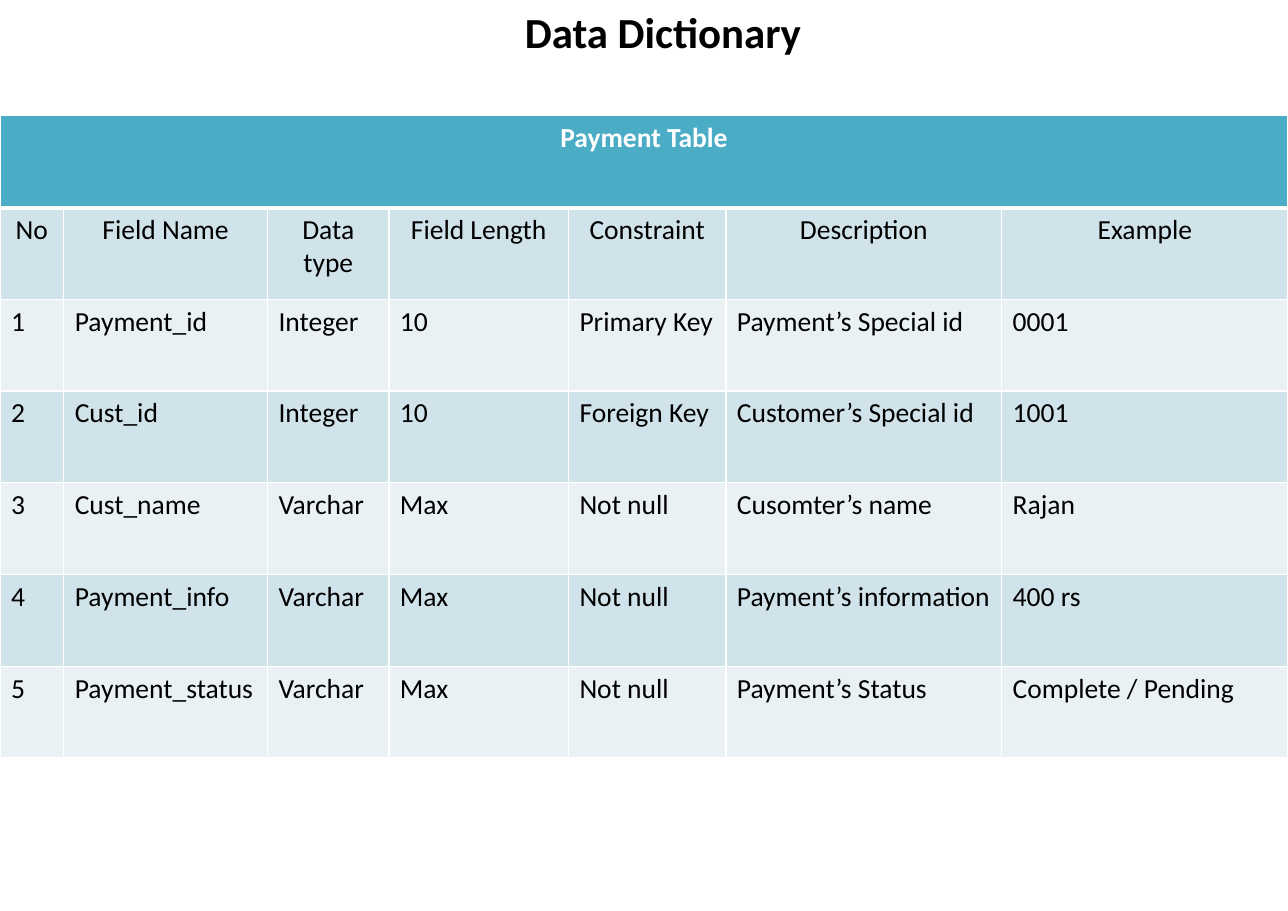
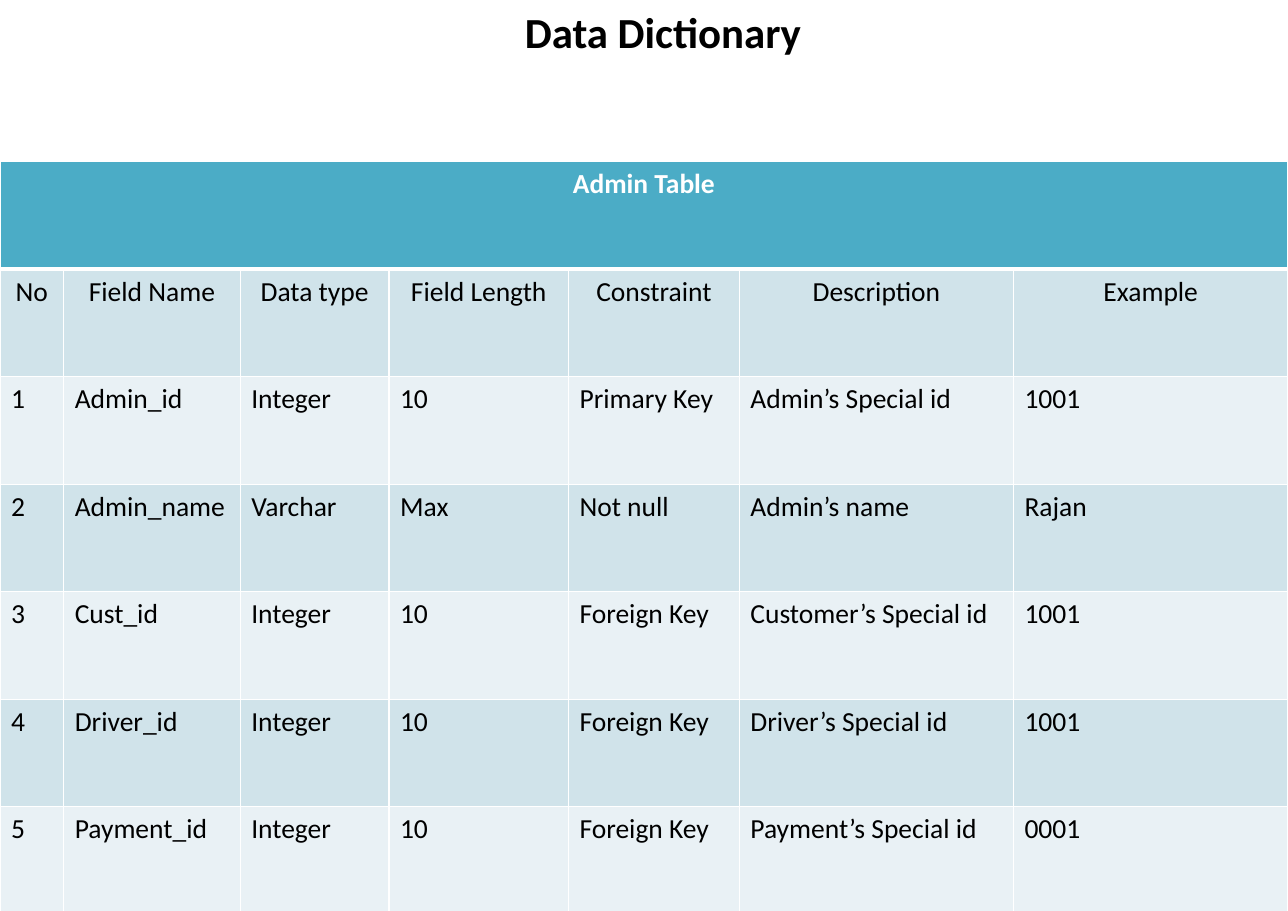
from dataclasses import dataclass

from lxml import etree
from pptx import Presentation
from pptx.dml.color import RGBColor
from pptx.enum.text import MSO_AUTO_SIZE, PP_ALIGN
from pptx.oxml.ns import qn
from pptx.util import Cm, Pt

LEFT = PP_ALIGN.LEFT
CENTER = PP_ALIGN.CENTER
FIT_SHAPE = MSO_AUTO_SIZE.SHAPE_TO_FIT_TEXT
BLANK_LAYOUT = 6


@dataclass(frozen=True)
class Theme:
    font: str = "Calibri"
    title_size: int = 28
    table_size: int = 18
    text: str = "000000"
    white: str = "FFFFFF"
    heading: str = "4BACC6"
    dark_band: str = "D0E3EA"
    light_band: str = "E9F1F5"
    border: float = 1
    heading_border: float = 3


@dataclass(frozen=True)
class Box:
    left: float
    top: float
    width: float
    height: float

    def lengths(self):
        return Cm(self.left), Cm(self.top), Cm(self.width), Cm(self.height)


THEME = Theme()
SLIDE_WIDTH, SLIDE_HEIGHT = 29.7, 21
TITLE = "Data Dictionary"
TITLE_BOX = Box(11.68, 0, 7.21, 1.45)
HEADERS = ("No", "Field Name", "Data type", "Field Length", "Constraint", "Description", "Example")

TABLES = (
    {
        "name": "Payment Table",
        "box": Box(0, 2.67, SLIDE_WIDTH, 14.81),
        "widths": (1.47, 4.7, 2.8, 4.14, 3.63, 6.36),
        "fields": (
            ("Payment_id", "Integer", "10", "Primary Key", "Payment’s Special id", "0001"),
            ("Cust_id", "Integer", "10", "Foreign Key", "Customer’s Special id", "1001"),
            ("Cust_name", "Varchar", "Max", "Not null", "Cusomter’s name", "Rajan"),
            ("Payment_info", "Varchar", "Max", "Not null", "Payment’s information", "400 rs"),
            ("Payment_status", "Varchar", "Max", "Not null", "Payment’s Status", "Complete / Pending"),
        ),
    },
    {
        "name": "Admin Table",
        "box": Box(0, 3.73, SLIDE_WIDTH, 17.35),
        "widths": (1.47, 4.07, 3.43, 4.14, 3.94, 6.32),
        "fields": (
            ("Admin_id", "Integer", "10", "Primary Key", "Admin’s Special id", "1001"),
            ("Admin_name", "Varchar", "Max", "Not null", "Admin’s name", "Rajan"),
            ("Cust_id", "Integer", "10", "Foreign Key", "Customer’s Special id", "1001"),
            ("Driver_id", "Integer", "10", "Foreign Key", "Driver’s Special id", "1001"),
            ("Payment_id", "Integer", "10", "Foreign Key", "Payment’s Special id", "0001"),
        ),
    },
)


def write_text(frame, text, size, color, bold, alignment):
    paragraph = frame.paragraphs[0]
    paragraph.alignment = alignment
    run = paragraph.add_run()
    run.text = text
    run.font.name = THEME.font
    run.font.size = Pt(size)
    run.font.bold = bold
    run.font.color.rgb = RGBColor.from_string(color)


def set_borders(cell, top, bottom):
    properties = cell._tc.get_or_add_tcPr()
    widths = {"lnL": THEME.border, "lnR": THEME.border, "lnT": top, "lnB": bottom}
    for side, width in widths.items():
        line = etree.SubElement(properties, qn(f"a:{side}"), w=str(Pt(width)))
        fill = etree.SubElement(line, qn("a:solidFill"))
        etree.SubElement(fill, qn("a:srgbClr"), val=THEME.white)


def style_cell(cell, row_index):
    top = THEME.heading_border if row_index == 1 else THEME.border
    bottom = THEME.heading_border if row_index == 0 else THEME.border
    set_borders(cell, top, bottom)
    band = THEME.dark_band if row_index % 2 else THEME.light_band
    cell.fill.solid()
    cell.fill.fore_color.rgb = RGBColor.from_string(band if row_index else THEME.heading)


def add_title(slide, box):
    shape = slide.shapes.add_textbox(*box.lengths())
    frame = shape.text_frame
    frame.word_wrap = True
    frame.auto_size = FIT_SHAPE
    write_text(frame, TITLE, THEME.title_size, THEME.text, True, CENTER)


def add_field_table(slide, box, name, widths, fields):
    rows = [HEADERS] + [(str(number), *field) for number, field in enumerate(fields, 1)]
    row_count = len(rows) + 1
    table = slide.shapes.add_table(row_count, len(HEADERS), *box.lengths()).table
    for column, width in zip(table.columns, (*widths, box.width - sum(widths))):
        column.width = Cm(width)
    for row_index, row in enumerate(table.rows):
        row.height = Cm(box.height / row_count)
        for cell in row.cells:
            style_cell(cell, row_index)

    heading = table.cell(0, 0)
    heading.merge(table.cell(0, len(HEADERS) - 1))
    write_text(heading.text_frame, name, THEME.table_size, THEME.white, True, CENTER)
    for row_index, values in enumerate(rows, 1):
        alignment = CENTER if row_index == 1 else LEFT
        for column_index, value in enumerate(values):
            frame = table.cell(row_index, column_index).text_frame
            write_text(frame, value, THEME.table_size, THEME.text, False, alignment)


def add_dictionary_slide(presentation, content):
    slide = presentation.slides.add_slide(presentation.slide_layouts[BLANK_LAYOUT])
    add_title(slide, TITLE_BOX)
    add_field_table(slide, **content)


def main():
    presentation = Presentation()
    presentation.slide_width = Cm(SLIDE_WIDTH)
    presentation.slide_height = Cm(SLIDE_HEIGHT)
    for content in TABLES:
        add_dictionary_slide(presentation, content)
    presentation.save("out.pptx")


if __name__ == "__main__":
    main()
